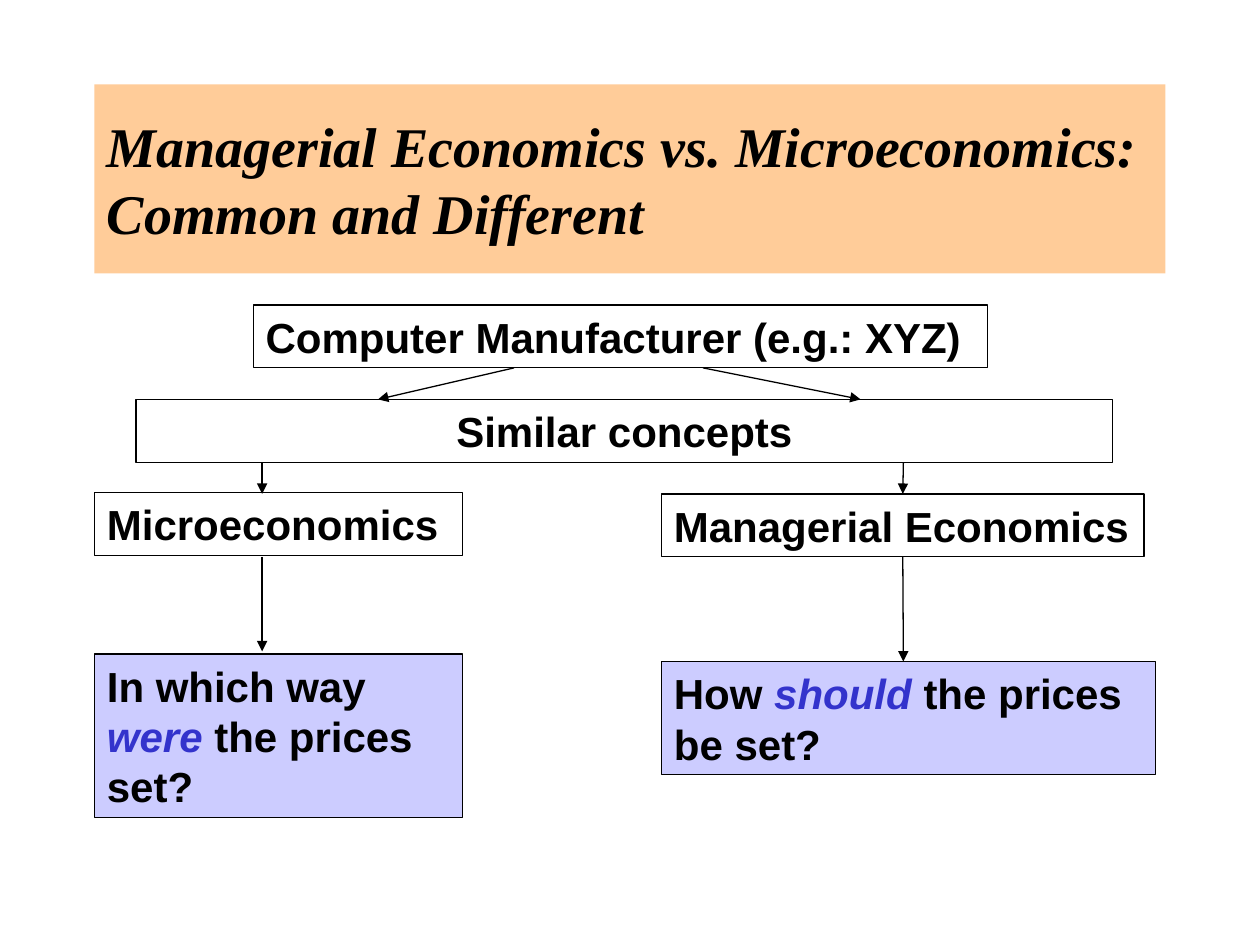
from lxml import etree
from pptx import Presentation
from pptx.dml.color import RGBColor
from pptx.enum.shapes import MSO_CONNECTOR, MSO_SHAPE
from pptx.enum.text import MSO_ANCHOR as Anchor, PP_ALIGN as Align
from pptx.oxml.ns import qn
from pptx.util import Inches, Pt

BLACK, ACCENT, PEACH, LILAC = "000000", "3333CC", "FFCC99", "CCCCFF"
TOP, BOTTOM = 0, 2
LEFT_ARROW_X, RIGHT_ARROW_X = 2.08, 7.17


def color(hex_string):
    return RGBColor.from_string(hex_string)


def add_span(para, text, font="Arial", size=24, italic=False, ink=BLACK):
    span = para.add_run()
    span.text = text
    span.font.name = font
    span.font.size = Pt(size)
    span.font.bold = True
    span.font.italic = italic
    span.font.color.rgb = color(ink)


def add_box(page, left, top, width, height, fill=None, line=BLACK,
            align=Align.LEFT, anchor=Anchor.TOP):
    """Add an empty rectangle ready for text."""
    box = page.shapes.add_shape(MSO_SHAPE.RECTANGLE, Inches(left), Inches(top),
                                Inches(width), Inches(height))
    box.shadow.inherit = False
    if fill:
        box.fill.solid()
        box.fill.fore_color.rgb = color(fill)
    else:
        box.fill.background()
    if line:
        box.line.color.rgb = color(line)
        box.line.width = Pt(0.75)
    else:
        box.line.fill.background()
    frame = box.text_frame
    frame.word_wrap = True
    frame.vertical_anchor = anchor
    frame.paragraphs[0].alignment = align
    return box


def add_label(page, text, *place, **box_format):
    box = add_box(page, *place, **box_format)
    add_span(box.text_frame.paragraphs[0], text)
    return box


def add_question(page, before, stressed, after, *place):
    """Add a filled box whose key word is stressed."""
    box = add_box(page, *place, fill=LILAC)
    para = box.text_frame.paragraphs[0]
    add_span(para, before)
    add_span(para, stressed, italic=True, ink=ACCENT)
    add_span(para, after)


def add_arrow(page, x1, y1, x2, y2):
    arrow = page.shapes.add_connector(MSO_CONNECTOR.STRAIGHT, Inches(x1),
                                      Inches(y1), Inches(x2), Inches(y2))
    arrow.line.color.rgb = color(BLACK)
    arrow.line.width = Pt(0.75)
    etree.SubElement(arrow.line._get_or_add_ln(), qn("a:tailEnd"), type="triangle")
    etree.SubElement(arrow._element.spPr, qn("a:effectLst"))
    return arrow


def main():
    deck = Presentation()
    deck.slide_width, deck.slide_height = Inches(10), Inches(7.5)
    page = deck.slides.add_slide(deck.slide_layouts[6])

    # Title
    title = add_box(page, 0.75, 0.67, 8.5, 1.5, fill=PEACH, line=None,
                    anchor=Anchor.MIDDLE)
    add_span(title.text_frame.paragraphs[0],
             "Managerial Economics vs. Microeconomics: Common and Different",
             font="Times New Roman", size=32, italic=True)

    # Shared starting point
    add_label(page, "Computer Manufacturer (e.g.: XYZ)", 2.01, 2.42, 5.83, 0.5)
    add_label(page, "Similar concepts", 1.08, 3.17, 7.75, 0.5, align=Align.CENTER)

    # The two fields and their questions
    add_label(page, "Microeconomics", 0.75, 3.91, 2.92, 0.5)
    managerial = add_label(page, "Managerial Economics", 5.25, 3.92, 3.83, 0.5)
    add_question(page, "In which way ", "were", " the prices set?",
                 0.75, 5.19, 2.92, 1.3)
    add_question(page, "How ", "should", " the prices be set?",
                 5.25, 5.25, 3.92, 0.9)

    # Arrows from the manufacturer to the concepts
    add_arrow(page, 4.08, 2.92, 3, 3.17)
    add_arrow(page, 5.58, 2.92, 6.83, 3.17)

    # Arrows down each side
    add_arrow(page, LEFT_ARROW_X, 3.67, LEFT_ARROW_X, 3.92)
    add_arrow(page, LEFT_ARROW_X, 4.42, LEFT_ARROW_X, 5.17)
    to_managerial = add_arrow(page, RIGHT_ARROW_X, 3.67, RIGHT_ARROW_X, 3.92)
    to_managerial.end_connect(managerial, TOP)
    from_managerial = add_arrow(page, RIGHT_ARROW_X, 4.42, RIGHT_ARROW_X, 5.25)
    from_managerial.begin_connect(managerial, BOTTOM)

    deck.save("out.pptx")


if __name__ == "__main__":
    main()
